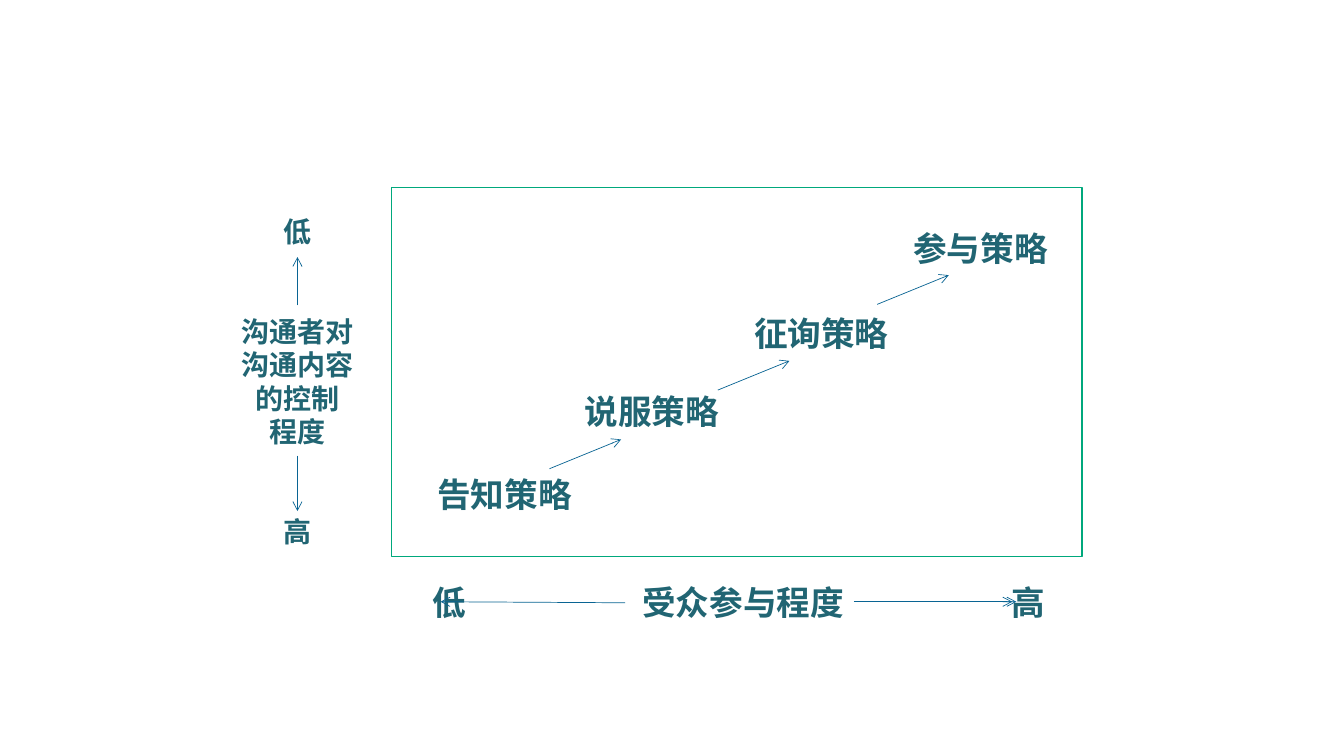
from lxml import etree
from pptx import Presentation
from pptx.dml.color import RGBColor
from pptx.enum.lang import MSO_LANGUAGE_ID
from pptx.enum.shapes import MSO_CONNECTOR, MSO_SHAPE
from pptx.enum.text import MSO_AUTO_SIZE, PP_ALIGN
from pptx.oxml.ns import qn
from pptx.util import Inches, Pt

STRAIGHT = MSO_CONNECTOR.STRAIGHT
PROCESS = MSO_SHAPE.FLOWCHART_PROCESS
CENTER = PP_ALIGN.CENTER
GROW = MSO_AUTO_SIZE.SHAPE_TO_FIT_TEXT
CHINESE = MSO_LANGUAGE_ID.SIMPLIFIED_CHINESE

THEME = {
    "font": "Arial",
    "text": RGBColor.from_string("216573"),
    "arrow": RGBColor.from_string("096493"),
    "frame": RGBColor.from_string("00A87C"),
    "fill": RGBColor.from_string("FFFFFF"),
    "label_size": Pt(24),
    "axis_size": Pt(20),
    "axis_gap": Pt(47),
}

LABEL_W, LABEL_H = 2.05, 0.5
STEP_W, STEP_H = 0.71, 0.29

prs = Presentation()
prs.slide_width, prs.slide_height = Inches(13.33), Inches(7.5)
s = prs.slides.add_slide(prs.slide_layouts[6])


def add_label(text, left, top, width, height, size):
    sp = s.shapes.add_textbox(Inches(left), Inches(top), Inches(width), Inches(height))
    tf = sp.text_frame
    tf.word_wrap = True
    tf.auto_size = GROW
    tf.text = text
    for p in tf.paragraphs:
        p.alignment = CENTER
        for r in p.runs:
            r.font.name = THEME["font"]
            r.font.size = size
            r.font.bold = True
            r.font.color.rgb = THEME["text"]
            r.font.language_id = CHINESE
            r.font._element.find(qn("a:latin")).addnext(
                etree.Element(qn("a:ea"), typeface=THEME["font"]))
    return tf


def add_arrow(x1, y1, x2, y2):
    sp = s.shapes.add_connector(STRAIGHT, Inches(x1), Inches(y1), Inches(x2), Inches(y2))
    sp.line.color.rgb = THEME["arrow"]
    sp.line.width = Pt(0.5)
    etree.SubElement(sp.line._get_or_add_ln(), qn("a:tailEnd"), type="arrow")
    etree.SubElement(sp._element.spPr, qn("a:effectLst"))


frame = s.shapes.add_shape(PROCESS, Inches(3.88), Inches(1.86), Inches(6.85), Inches(3.66))
frame.shadow.inherit = False
frame.fill.solid()
frame.fill.fore_color.rgb = THEME["fill"]
frame.line.color.rgb = THEME["frame"]
frame.line.width = Pt(1)

strategies = [
    ("告知策略", 3.98, 4.65),
    ("说服策略", 5.44, 3.83),
    ("征询策略", 7.12, 3.06),
    ("参与策略", 8.7, 2.21),
]
for text, left, top in strategies:
    add_label(text, left, top, LABEL_W, LABEL_H, THEME["label_size"])

for x, y in [(5.45, 4.65), (7.12, 3.87), (8.7, 3.02)]:
    add_arrow(x, y, x + STEP_W, y - STEP_H)

for text, center, width in [("低", 4.46, 0.6), ("受众参与程度", 7.37, 2.4), ("高", 10.2, 0.6)]:
    add_label(text, center - width / 2, 5.72, width, LABEL_H, THEME["label_size"])

control_axis = add_label("低\n沟通者对\n沟通内容\n的控制\n程度\n高",
                         1.93, 2.08, LABEL_W, 3.47, THEME["axis_size"])
for i in (1, 5):
    control_axis.paragraphs[i].space_before = THEME["axis_gap"]

axis_arrows = [
    (8.51, 5.97, 10.08, 5.97),
    (6.2, 5.98, 4.37, 5.97),
    (8.47, 5.97, 10.04, 5.97),
    (2.95, 3.03, 2.95, 2.55),
    (2.95, 4.52, 2.95, 5.07),
]
for ends in axis_arrows:
    add_arrow(*ends)

prs.save("out.pptx")
